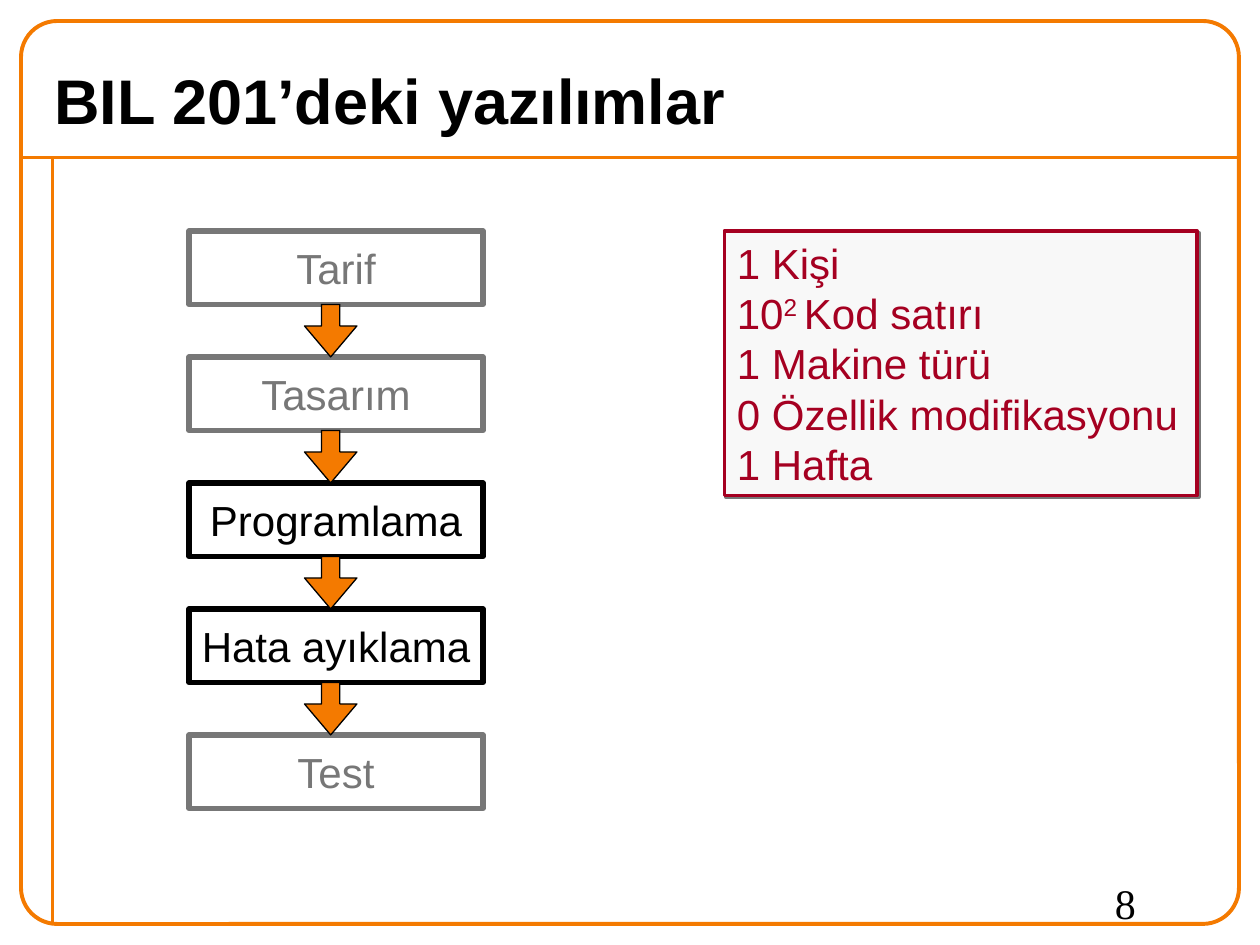
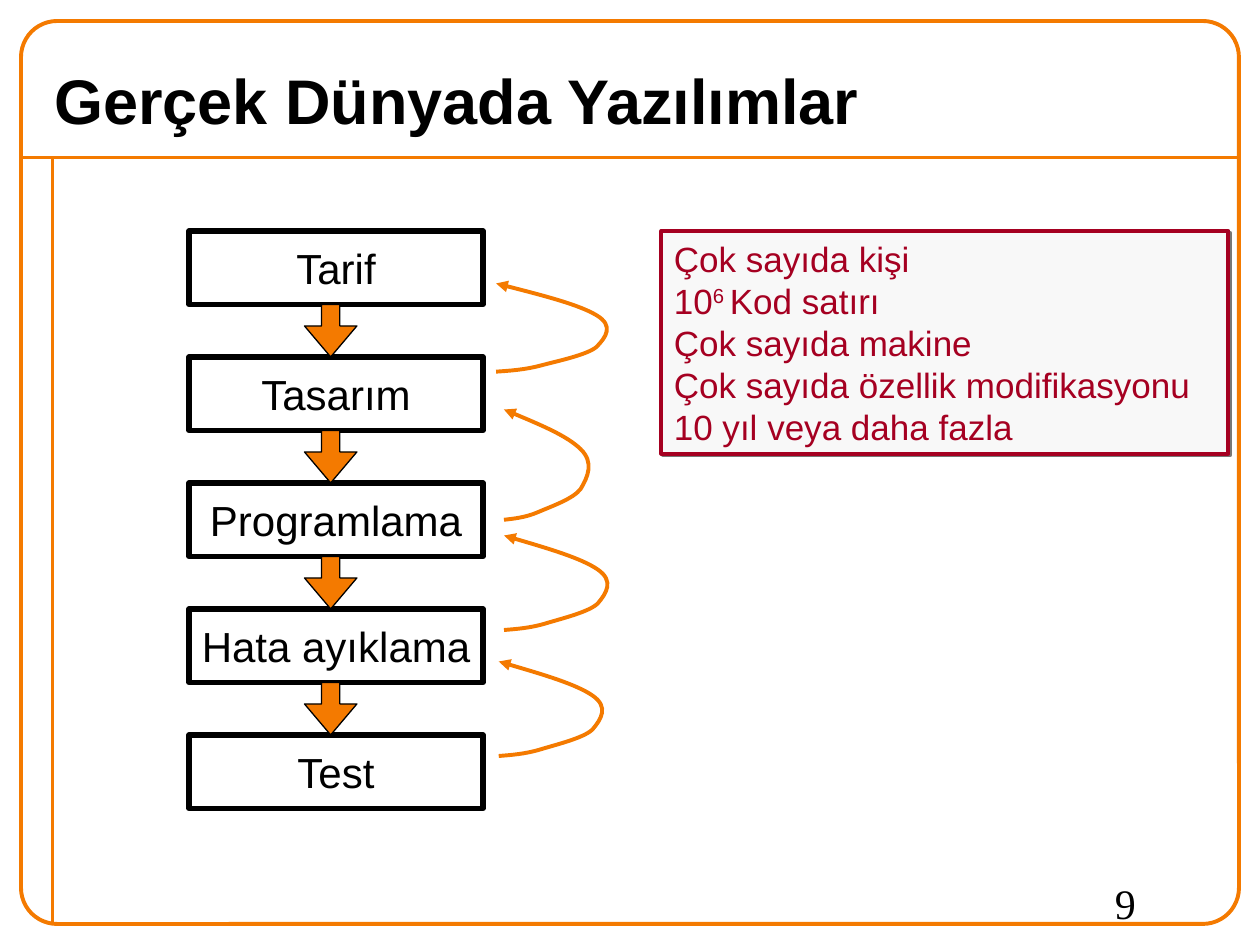
from dataclasses import dataclass

from lxml import etree
from pptx import Presentation
from pptx import util as u
from pptx.dml.color import RGBColor
from pptx.enum import shapes as s
from pptx.enum import text as t
from pptx.oxml.ns import qn

ORANGE = RGBColor(0xF4, 0x7A, 0x00)
BLACK = RGBColor(0x00, 0x00, 0x00)
GREY = RGBColor(0x77, 0x77, 0x77)
RED = RGBColor(0xA5, 0x00, 0x21)
PALE = RGBColor(0xF8, 0xF8, 0xF8)

SANS, SERIF = "Arial", "Times New Roman"

# Grid: 120 columns by 90 rows, twelve cells to the inch
COLS, ROWS, CELL = 120, 90, u.Inches(1) // 12
EDGE, RULE, SIDE = 2, 15, 5      # frame margin, title rule, side rule
LEFT, TOP, WIDE, TALL = 18, 22, 28, 7   # first step box
PITCH = 12                       # rows from one step to the next
HEAD = 5                         # size of a down arrow

STEPS = ("Tarif", "Tasarım", "Programlama", "Hata ayıklama", "Test")

# Bezier points of a return arrow, as shares of its width and height
CURVE = (
    (0, 1),
    (0.11, 0.99), (0.24, 0.98), (0.38, 0.93),
    (0.52, 0.88), (0.77, 0.81), (0.85, 0.72),
    (0.93, 0.61), (1, 0.48), (0.85, 0.36),
    (0.7, 0.24), (0.35, 0.12), (0, 0),
)


@dataclass(frozen=True)
class Box:
    x: float
    y: float
    w: float
    h: float

    def emu(self) -> list[int]:
        return [cell(n) for n in (self.x, self.y, self.w, self.h)]


@dataclass(frozen=True)
class Panel:
    box: Box
    size: int
    lines: tuple[tuple[str, ...], ...]   # base text, superscript, base text


@dataclass(frozen=True)
class Page:
    title: str
    num: int
    dim: tuple[str, ...]         # steps shown in grey
    loops: tuple[Box, ...]       # return arrows
    panel: Panel


PAGES = (
    Page("BIL 201’deki yazılımlar", 8, ("Tarif", "Tasarım", "Test"), (),
         Panel(Box(69, TOP, 45, 25.2), 24, (
             ("1 Kişi",),
             ("10", "2 ", "Kod satırı"),
             ("1 Makine türü",),
             ("0 Özellik modifikasyonu",),
             ("1 Hafta",)))),
    Page("Gerçek Dünyada Yazılımlar", 9, (),
         (Box(47.25, 27, 11.25, 8.4), Box(48, 39, 8.6, 10.5),
          Box(48, 51, 10.5, 9), Box(47.5, 63, 10.5, 9)),
         Panel(Box(63, TOP, 54, 21.2), 20, (
             ("Çok sayıda kişi",),
             ("10", "6 ", "Kod satırı"),
             ("Çok sayıda makine",),
             ("Çok sayıda özellik modifikasyonu",),
             ("10 yıl veya daha fazla",)))),
)


def cell(n: float) -> int:
    return round(n * CELL)


def style(para, size: int, color: RGBColor, face: str = SANS,
          bold: bool = False, align=t.PP_ALIGN.LEFT) -> None:
    para.alignment = align
    font = para.font
    font.name, font.size, font.bold = face, u.Pt(size), bold
    font.color.rgb = color


def shape(slide, kind, box: Box, line: RGBColor, width: float, fill=None):
    item = slide.shapes.add_shape(kind, *box.emu())
    paint(item, line, width, fill)
    return item


def paint(item, line: RGBColor, width: float, fill=None) -> None:
    item.shadow.inherit = False
    if fill is None:
        item.fill.background()
    else:
        item.fill.solid()
        item.fill.fore_color.rgb = fill
    item.line.color.rgb, item.line.width = line, u.Pt(width)


def label(slide, words: str, box: Box, size: int, face: str = SANS,
          bold: bool = False, anchor=t.MSO_ANCHOR.TOP) -> None:
    frame = slide.shapes.add_textbox(*box.emu()).text_frame
    frame.word_wrap, frame.vertical_anchor = True, anchor
    frame.text = words
    style(frame.paragraphs[0], size, BLACK, face, bold)


def rule(slide, x: float, y: float, to_x: float, to_y: float) -> None:
    line = slide.shapes.add_connector(
        s.MSO_CONNECTOR.STRAIGHT, *map(cell, (x, y, to_x, to_y)))
    line.line.color.rgb, line.line.width = ORANGE, u.Pt(2.25)
    etree.SubElement(line.element.spPr, qn("a:effectLst"))


def base(slide, page: Page) -> None:
    """Frame, rules, title and page number."""
    rule(slide, EDGE, RULE, COLS - EDGE, RULE)
    rule(slide, SIDE, RULE, SIDE, ROWS - EDGE)
    edge = Box(EDGE, EDGE, COLS - 2 * EDGE, ROWS - 2 * EDGE)
    frame = shape(slide, s.MSO_SHAPE.ROUNDED_RECTANGLE, edge, ORANGE, 2.25)
    frame.adjustments[0] = 0.04
    label(slide, page.title, Box(4, 5, 112, 9), 36, bold=True,
          anchor=t.MSO_ANCHOR.MIDDLE)
    label(slide, str(page.num), Box(105, 83, 12, 6), 24, SERIF)


def step(slide, words: str, row: float, color: RGBColor) -> None:
    item = shape(slide, s.MSO_SHAPE.RECTANGLE, Box(LEFT, row, WIDE, TALL),
                 color, 3)
    frame = item.text_frame
    frame.word_wrap, frame.vertical_anchor = False, t.MSO_ANCHOR.MIDDLE
    frame.text = words
    style(frame.paragraphs[0], 24, color, align=t.PP_ALIGN.CENTER)


def arrow(slide, row: float) -> None:
    item = shape(slide, s.MSO_SHAPE.DOWN_ARROW, Box(29, row, HEAD, HEAD),
                 BLACK, 0.75, ORANGE)
    item.adjustments[0], item.adjustments[1] = 0.35, 0.59


def loop(slide, box: Box) -> None:
    """Curved arrow back to the step above."""
    start, *rest = [(cell(box.x + a * box.w), cell(box.y + b * box.h))
                    for a, b in CURVE]
    pen = slide.shapes.build_freeform(*start)
    pen.add_line_segments(rest, close=False)
    item = pen.convert_to_shape()
    paint(item, ORANGE, 2.25)
    # Turn each three straight segments into one Bezier segment
    lines = list(item.element.iter(qn("a:lnTo")))
    trail = lines[0].getparent()
    for i in range(0, len(lines), 3):
        bend = etree.SubElement(trail, qn("a:cubicBezTo"))
        for line in lines[i:i + 3]:
            bend.append(line[0])
            trail.remove(line)
    etree.SubElement(item.line._get_or_add_ln(), qn("a:tailEnd"),
                     type="triangle")


def facts(slide, panel: Panel) -> None:
    """Shadowed box with the figures of the project."""
    item = shape(slide, s.MSO_SHAPE.RECTANGLE, panel.box, RED, 2.25, PALE)
    cast = etree.SubElement(item.element.spPr.find(qn("a:effectLst")),
                            qn("a:outerShdw"), dist=str(u.Pt(1.4)),
                            dir="2700000", algn="ctr", rotWithShape="0")
    etree.SubElement(cast, qn("a:srgbClr"), val=str(GREY))
    frame = item.text_frame
    frame.word_wrap, frame.vertical_anchor = True, t.MSO_ANCHOR.TOP
    for i, parts in enumerate(panel.lines):
        para = frame.add_paragraph() if i else frame.paragraphs[0]
        style(para, panel.size, RED)
        for j, part in enumerate(parts):
            run = para.add_run()
            run.text = part
            if j == 1:
                run.font._element.set("baseline", "30000")


def main() -> None:
    deck = Presentation()
    deck.slide_width, deck.slide_height = cell(COLS), cell(ROWS)
    for page in PAGES:
        slide = deck.slides.add_slide(deck.slide_layouts[6])
        base(slide, page)
        for box in page.loops:
            loop(slide, box)
        facts(slide, page.panel)
        for i, name in enumerate(STEPS):
            step(slide, name, TOP + i * PITCH,
                 GREY if name in page.dim else BLACK)
        for i in range(len(STEPS) - 1):
            arrow(slide, TOP + TALL + i * PITCH)
    deck.save("out.pptx")


if __name__ == "__main__":
    main()
